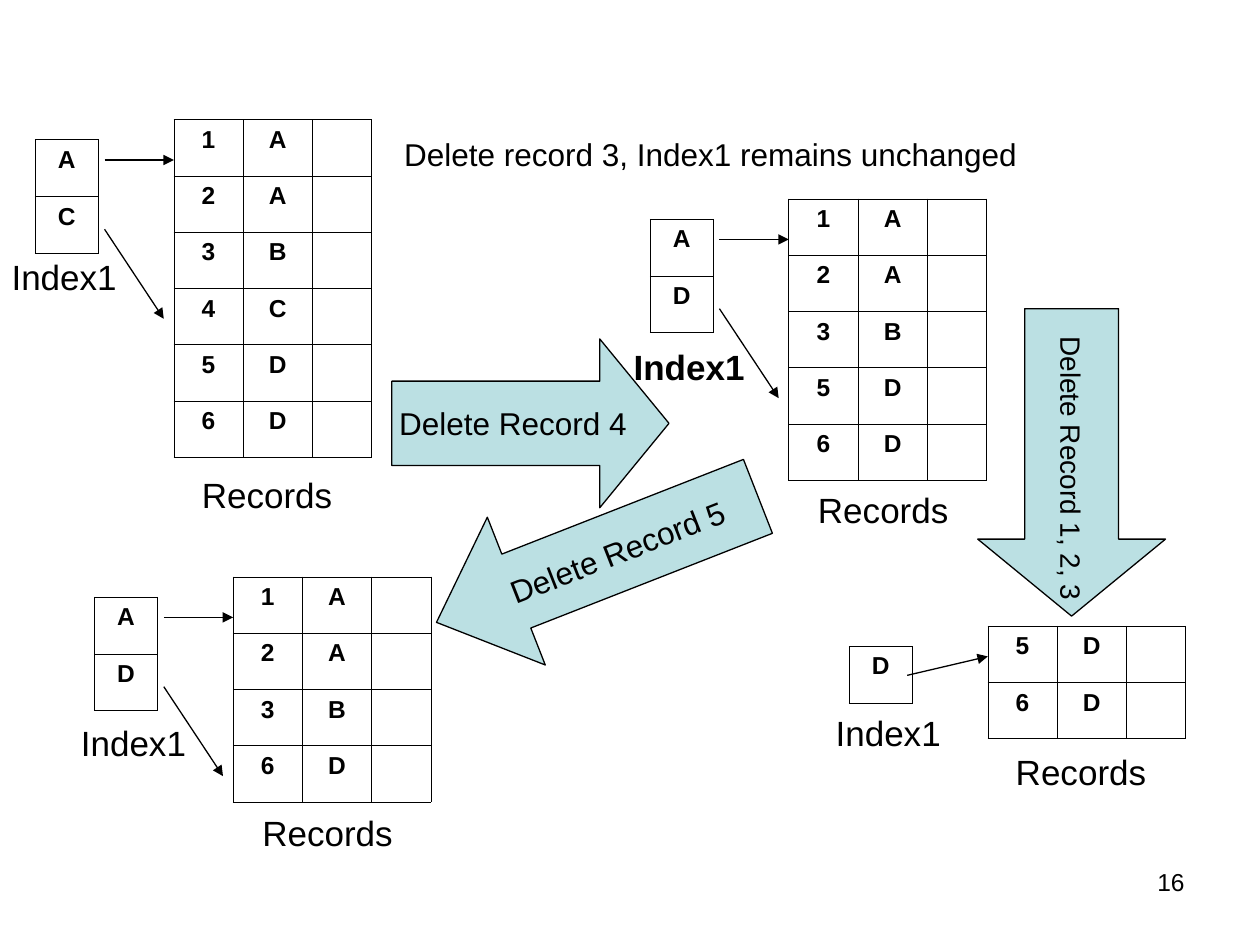
from dataclasses import dataclass
from typing import Optional

from lxml import etree
from pptx import Presentation
from pptx import util as u
from pptx.dml.color import RGBColor
from pptx.enum import shapes, text
from pptx.oxml.ns import qn

Point = tuple[float, float]
SHAPE = shapes.MSO_SHAPE
ALIGN = text.PP_ALIGN


@dataclass(frozen=True)
class Theme:
    font: str = "Arial"
    ink: str = "000000"
    paper: str = "FFFFFF"
    arrow_fill: str = "BBE0E3"
    cell_size: int = 14
    number_size: int = 14
    side_size: int = 16
    note_size: int = 18
    label_size: int = 20
    line_width: float = 0.75
    border_width: float = 0.45


@dataclass(frozen=True)
class Stage:
    origin: Point
    records: tuple[str, ...]
    index: str
    index_label: Point
    records_label: Point
    bold_index: bool = False
    pointers: tuple[tuple[Point, Point], ...] = (
        ((-0.55, 0.32), (0, 0.32)),
        ((-0.55, 0.87), (-0.08, 1.58)),
    )


@dataclass(frozen=True)
class BlockArrow:
    kind: SHAPE
    box: tuple[float, float, float, float]
    head: float
    caption: str
    size: int
    rotation: float = 0
    vertical: bool = False


THEME = Theme()
RECORD_COLUMNS = (0.55, 0.55, 0.47)
RECORD_ROW = 2.68 / 6
INDEX_COLUMNS = (0.5,)
INDEX_ROW = 0.45
INDEX_OFFSET = (-1.1, 0.16)

STAGES = (
    Stage((1.38, 0.95), ("1A", "2A", "3B", "4C", "5D", "6D"), "AC", (-0.04, 1.98), (1.45, 3.71)),
    Stage((6.26, 1.58), ("1A", "2A", "3B", "5D", "6D"), "AD", (4.92, 2.69), (6.34, 3.83), True),
    Stage((1.85, 4.58), ("1A", "2A", "3B", "6D"), "AD", (0.51, 5.68), (1.93, 6.39)),
    Stage((7.84, 4.97), ("5D", "6D"), "D", (6.5, 5.6), (7.91, 5.91),
          pointers=(((-0.64, 0.39), (0, 0.24)),)),
)

BLOCK_ARROWS = (
    BlockArrow(SHAPE.RIGHT_ARROW, (3.11, 2.69, 2.2, 1.34), 0.41, "Delete Record 4", THEME.note_size),
    BlockArrow(SHAPE.DOWN_ARROW, (7.76, 2.45, 1.49, 2.44), 0.41, "Delete Record 1, 2, 3",
               THEME.side_size, vertical=True),
    BlockArrow(SHAPE.LEFT_ARROW, (3.37, 3.81, 2.74, 1.26), 0.54, "Delete Record 5",
               THEME.note_size, rotation=338.6),
)


def rgb(color: str) -> RGBColor:
    return RGBColor.from_string(color)


def write(tf, content: str, size: int, align: Optional[ALIGN] = None, bold: bool = False) -> None:
    tf.text = content
    p = tf.paragraphs[0]
    p.alignment = align
    for r in p.runs:
        r.font.name = THEME.font
        r.font.size = u.Pt(size)
        r.font.bold = bold
        r.font.color.rgb = rgb(THEME.ink)


def add_text(s, at: Point, size: Point, content: str, points: int, align: ALIGN,
             bold: bool = False) -> None:
    tf = s.shapes.add_textbox(*map(u.Inches, at + size)).text_frame
    tf.word_wrap = True
    write(tf, content, points, align, bold)


def add_border(cell) -> None:
    tc_pr = cell._tc.get_or_add_tcPr()
    for place, side in enumerate(("a:lnL", "a:lnR", "a:lnT", "a:lnB")):
        ln = etree.Element(qn(side), w=str(u.Pt(THEME.border_width)))
        fill = etree.SubElement(ln, qn("a:solidFill"))
        etree.SubElement(fill, qn("a:srgbClr"), val=THEME.ink)
        tc_pr.insert(place, ln)


def add_grid(s, at: Point, rows: tuple[str, ...], columns: tuple[float, ...],
             row_height: float) -> None:
    size = (sum(columns), row_height * len(rows))
    table = s.shapes.add_table(len(rows), len(columns), *map(u.Inches, at + size)).table
    table.first_row = table.horz_banding = False
    for column, width in zip(table.columns, columns):
        column.width = u.Inches(width)
    for row, values in zip(table.rows, rows):
        row.height = u.Inches(row_height)
        for cell, value in zip(row.cells, values.ljust(len(columns))):
            cell.fill.solid()
            cell.fill.fore_color.rgb = rgb(THEME.paper)
            add_border(cell)
            write(cell.text_frame, value.strip(), THEME.cell_size, ALIGN.CENTER, True)


def add_pointer(s, start: Point, end: Point) -> None:
    line = s.shapes.add_connector(shapes.MSO_CONNECTOR.STRAIGHT, *map(u.Inches, start + end))
    line.line.color.rgb = rgb(THEME.ink)
    line.line.width = u.Pt(THEME.line_width)
    etree.SubElement(line.line._get_or_add_ln(), qn("a:tailEnd"), type="triangle")
    etree.SubElement(line._element.spPr, qn("a:effectLst"))


def add_block_arrow(s, arrow: BlockArrow) -> None:
    sp = s.shapes.add_shape(arrow.kind, *map(u.Inches, arrow.box))
    sp.adjustments[0] = 0.5
    sp.adjustments[1] = arrow.head
    sp.rotation = arrow.rotation
    sp.shadow.inherit = False
    sp.fill.solid()
    sp.fill.fore_color.rgb = rgb(THEME.arrow_fill)
    sp.line.color.rgb = rgb(THEME.ink)
    sp.line.width = u.Pt(THEME.line_width)
    tf = sp.text_frame
    tf.word_wrap = False
    tf.vertical_anchor = text.MSO_ANCHOR.MIDDLE
    if arrow.vertical:
        tf._txBody.bodyPr.set("vert", "eaVert")
        tf.margin_left = tf.margin_right = u.Inches(0.05)
        tf.margin_top, tf.margin_bottom = u.Inches(0.22), u.Inches(0.1)
    write(tf, arrow.caption, arrow.size, ALIGN.CENTER)


def shift(origin: Point, offset: Point) -> Point:
    return origin[0] + offset[0], origin[1] + offset[1]


def add_stage(s, stage: Stage) -> None:
    add_grid(s, shift(stage.origin, INDEX_OFFSET), tuple(stage.index), INDEX_COLUMNS, INDEX_ROW)
    add_grid(s, stage.origin, stage.records, RECORD_COLUMNS, RECORD_ROW)
    for start, end in stage.pointers:
        add_pointer(s, shift(stage.origin, start), shift(stage.origin, end))
    add_text(s, stage.index_label, (1.1, 0.44), "Index1", THEME.label_size, ALIGN.CENTER,
             stage.bold_index)
    add_text(s, stage.records_label, (1.34, 0.44), "Records", THEME.label_size, ALIGN.CENTER)


def main() -> None:
    prs = Presentation()
    prs.slide_width, prs.slide_height = u.Inches(10), u.Inches(7.5)
    s = prs.slides.add_slide(prs.slide_layouts[6])
    for arrow in BLOCK_ARROWS:
        add_block_arrow(s, arrow)
    for stage in STAGES:
        add_stage(s, stage)
    add_text(s, (3.11, 1.02), (5.67, 0.4), "Delete record 3, Index1 remains unchanged",
             THEME.note_size, ALIGN.LEFT)
    add_text(s, (7.17, 6.83), (2.33, 0.52), "16", THEME.number_size, ALIGN.RIGHT)
    prs.save("out.pptx")


if __name__ == "__main__":
    main()
